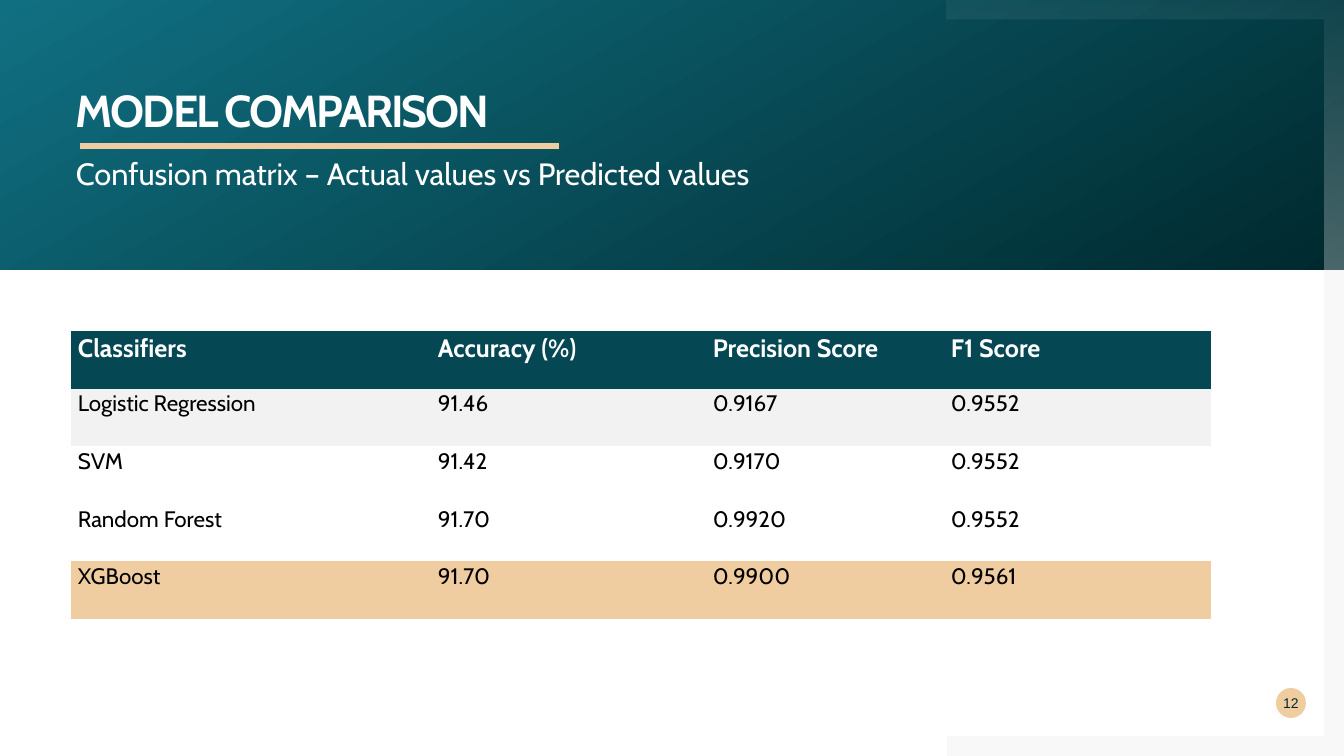
from lxml.etree import SubElement
from pptx import Presentation
from pptx.dml.color import RGBColor
from pptx.enum.shapes import MSO_CONNECTOR, MSO_SHAPE
from pptx.enum.text import MSO_ANCHOR as Anchor, MSO_AUTO_SIZE as AutoSize, PP_ALIGN as Align
from pptx.oxml.ns import qn
from pptx.util import Pt

# Content
TITLE = "MODEL COMPARISON"
SUBTITLE = "Confusion matrix – Actual values vs Predicted values"
PAGE = "12"
SCORES = [
    ("Classifiers", "Accuracy (%)", "Precision Score", "F1 Score"),
    ("Logistic Regression", "91.46", "0.9167", "0.9552"),
    ("SVM", "91.42", "0.9170", "0.9552"),
    ("Random Forest", "91.70", "0.9920", "0.9552"),
    ("XGBoost", "91.70", "0.9900", "0.9561"),
]
ROW_FILLS = ["054854", "F2F2F2", "FFFFFF", "FFFFFF", "F0CDA1"]
COLUMN_WIDTHS = [360, 275, 238, 267]
TABLE_HEIGHT = 288
WHITE, BLACK, DARK, TEAL, SAND = "FFFFFF", "000000", "00292E", "107082", "F0CDA1"

# Lengths in px
WIDTH, HEIGHT, HEADER_HEIGHT = 1344, 756, 270
FRAME_LEFT, FRAME_INNER, FRAME_THICK = 947, 1324, 20
EMU_PER_PX = 914400 / 100.8


def px(length):
    return round(length * EMU_PER_PX)


def box(*lengths):
    return [px(length) for length in lengths]


def color(code):
    return RGBColor.from_string(code)


def set_gradient(shape, start, end, angle):
    shape.fill.gradient()
    shape.fill.gradient_angle = angle
    for stop, code, position in zip(shape.fill.gradient_stops, (start, end), (0, 1)):
        stop.color.rgb = color(code)
        stop.position = position


def set_opacity(shape, *percents):
    fill_colors = shape.element.spPr.iter(qn("a:srgbClr"))
    for fill_color, percent in zip(fill_colors, percents):
        SubElement(fill_color, qn("a:alpha"), val=str(percent * 1000))


def plain(shape):
    shape.shadow.inherit = False
    shape.line.fill.background()
    return shape


def add_corner(shapes, points):
    builder = shapes.build_freeform(*points[0], scale=EMU_PER_PX)
    builder.add_line_segments(points[1:])
    return plain(builder.convert_to_shape())


def write(frame, text, size, code, font="Cabin", bold=False, align=Align.LEFT):
    frame.margin_left = frame.margin_right = frame.margin_top = frame.margin_bottom = 0
    frame.word_wrap = True
    frame.auto_size = AutoSize.NONE
    frame.text = text
    style(frame.paragraphs[0], size, code, font, bold)
    frame.paragraphs[0].alignment = align
    return frame.paragraphs[0]


def style(paragraph, size, code, font="Cabin", bold=False):
    paragraph.font.name = font
    paragraph.font.size = Pt(size)
    paragraph.font.bold = bold
    paragraph.font.color.rgb = color(code)


def place(holder, left, top, width, height):
    holder.left, holder.top, holder.width, holder.height = box(left, top, width, height)
    holder.text_frame.vertical_anchor = Anchor.TOP


deck = Presentation()
deck.slide_width, deck.slide_height = px(WIDTH), px(HEIGHT)
slide = deck.slides.add_slide(deck.slide_layouts[1])
shapes = slide.shapes
title, subtitle = shapes.title, slide.placeholders[1]

# Header band and corner frames
lower_corner = add_corner(shapes, [
    (FRAME_INNER, HEADER_HEIGHT), (WIDTH, HEADER_HEIGHT), (WIDTH, HEIGHT),
    (FRAME_LEFT, HEIGHT), (FRAME_LEFT, HEIGHT - FRAME_THICK),
    (FRAME_INNER, HEIGHT - FRAME_THICK)])
lower_corner.fill.solid()
lower_corner.fill.fore_color.rgb = color("808080")
set_opacity(lower_corner, 5)

header = plain(shapes.add_shape(MSO_SHAPE.RECTANGLE, *box(0, 0, WIDTH, HEADER_HEIGHT)))
set_gradient(header, DARK, TEAL, 120)

upper_corner = add_corner(shapes, [
    (FRAME_LEFT, 0), (WIDTH, 0), (WIDTH, HEADER_HEIGHT), (FRAME_INNER, HEADER_HEIGHT),
    (FRAME_INNER, FRAME_THICK), (FRAME_LEFT, FRAME_THICK)])
set_gradient(upper_corner, WHITE, WHITE, 270)
set_opacity(upper_corner, 5, 30)

# Title and subtitle, brought in front of the header
for holder in (title, subtitle):
    shapes.element.append(holder.element)
place(title, 76, 89, 834, 40)
heading = write(title.text_frame, TITLE, 32, WHITE, bold=True)
heading.line_spacing = 0.9
for run in title.element.iter(qn("a:r")):
    run.get_or_add_rPr().set("spc", "-150")

place(subtitle, 76, 155, 834, 39)
caption = write(subtitle.text_frame, SUBTITLE, 22, WHITE)
caption.space_before, caption.space_after = Pt(0), Pt(10)
for properties in subtitle.element.iter(qn("a:pPr")):
    properties.set("marL", "0")
    properties.set("indent", "0")
    properties.insert_element_before(
        properties.makeelement(qn("a:buNone")), "a:tabLst", "a:defRPr", "a:extLst")

# Title underline
underline = shapes.add_connector(MSO_CONNECTOR.STRAIGHT, *box(80, 146, 559, 146))
underline.line.color.rgb = color(SAND)
underline.line.width = Pt(4.32)
SubElement(underline.element.spPr, qn("a:effectLst"))

# Page number
badge = plain(shapes.add_shape(MSO_SHAPE.OVAL, *box(1276, 688, 30, 30)))
badge.fill.solid()
badge.fill.fore_color.rgb = color(SAND)
write(badge.text_frame, PAGE, 10, DARK, font="Arial", align=Align.CENTER)
badge.text_frame.vertical_anchor = Anchor.MIDDLE
badge.text_frame.word_wrap = False

# Score table
frame = shapes.add_table(len(SCORES), len(COLUMN_WIDTHS),
                         *box(71, 331, sum(COLUMN_WIDTHS), TABLE_HEIGHT))
for style_id in frame.element.iter(qn("a:tableStyleId")):
    style_id.text = "{2D5ABB26-0587-4C30-8999-92F81FD0307C}"  # no style, no grid
scores = frame.table
for column, width in zip(scores.columns, COLUMN_WIDTHS):
    column.width = px(width)
for r, (values, row_fill) in enumerate(zip(SCORES, ROW_FILLS)):
    scores.rows[r].height = px(TABLE_HEIGHT / len(SCORES))
    for c, value in enumerate(values):
        cell = scores.cell(r, c)
        cell.margin_left = cell.margin_right = px(7)
        cell.margin_top = cell.margin_bottom = 0
        cell.fill.solid()
        cell.fill.fore_color.rgb = color(row_fill)
        cell.text = value
        entry = cell.text_frame.paragraphs[0]
        entry.line_spacing, entry.space_after = 1.07, Pt(8)
        if r == 0:
            style(entry, 18, WHITE, bold=True)
        else:
            style(entry, 16, BLACK)

deck.save("out.pptx")
